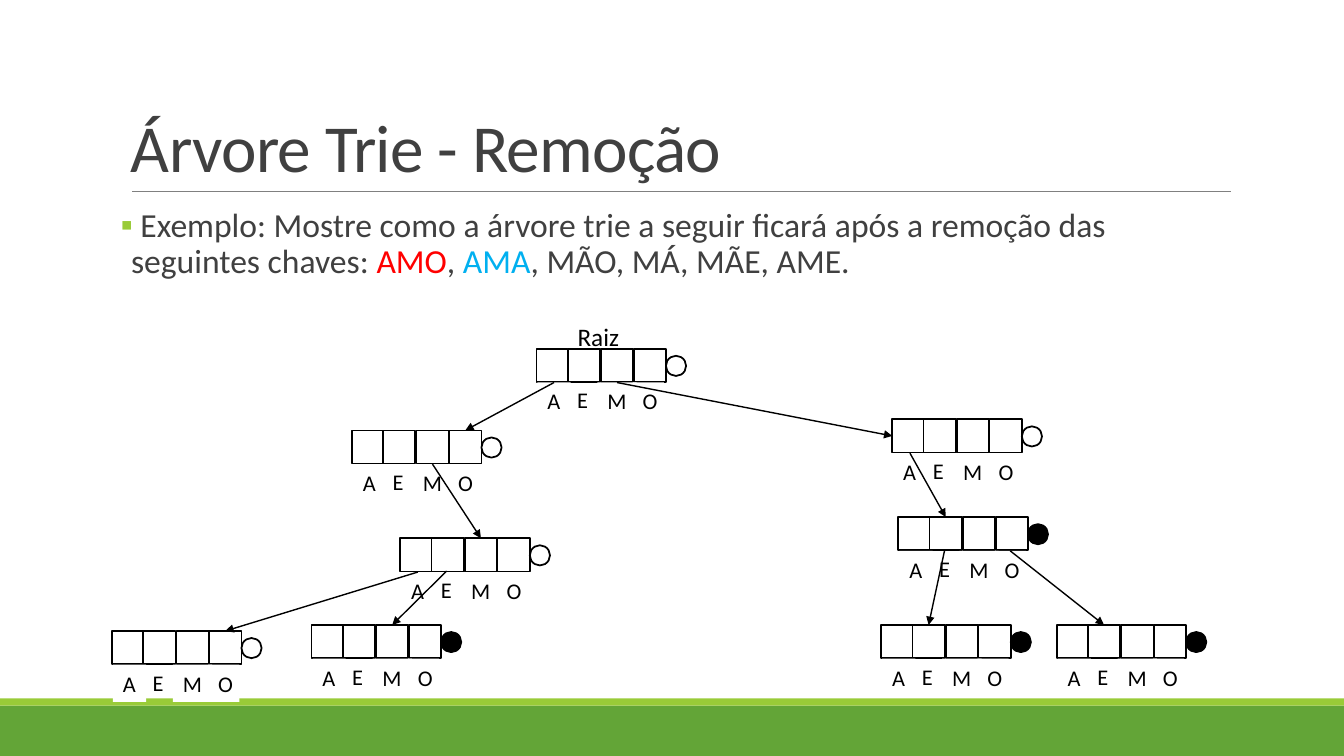
from dataclasses import dataclass
from typing import Any, Optional

import pptx
import pptx.dml.color
import pptx.enum.shapes
import pptx.enum.text
import pptx.oxml.ns
import pptx.util
from lxml import etree

COLORS = {
    "black": "000000", "white": "FFFFFF", "text": "404040", "rule": "808080",
    "band": "63A537", "accent": "99CB38", "red": "FF0000", "blue": "00B0F0",
}
FONT = "Calibri"
SLIDE_WIDTH = pptx.util.Inches(13.33)
SLIDE_HEIGHT = pptx.util.Inches(7.5)
COLUMNS, ROWS = 133.3, 75
SHAPES = pptx.enum.shapes.MSO_SHAPE
CELL_OFFSETS = (0, 3.1, 6.4, 9.65)
CELL_WIDTH, CELL_HEIGHT = 3.2, 3.3
TOP, LEFT = 0, 1


@dataclass(frozen=True)
class Label:
    letter: str
    column: float
    row: float
    width: float
    fill: Optional[str] = "white"
    wrap: bool = False


@dataclass(frozen=True)
class Node:
    name: str
    column: float
    row: float
    is_key: bool = False
    parent: str = ""
    letter: str = ""
    entry_cell: int = 0
    entry_side: int = TOP


@dataclass(frozen=True)
class Span:
    text: str
    color: str = "text"


LABELS = (
    Label("A", 0.1, 3.35, 3.3),
    Label("M", 6.05, 3.35, 3.9),
    Label("O", 9.55, 3.35, 3.1, wrap=True),
    Label("E", 3.05, 3.25, 3.1, fill=None),
)

NODES = (
    Node("root", 53.2, 34.6),
    Node("A", 34.9, 42.7, False, "root", "A", 3),
    Node("AM", 39.7, 53.4, False, "A", "M", 2),
    Node("M", 88.5, 41.6, False, "root", "M", 0, LEFT),
    Node("MA", 89.1, 51.3, True, "M", "A", 1),
    Node("MAE", 87.4, 62, True, "MA", "E", 1),
    Node("AME", 30.9, 62, True, "AM", "E", 2),
    Node("AMA", 11.1, 62.6, False, "AM", "A", 3),
    Node("MAO", 104.8, 62, True, "MA", "O", 1),
)

STATEMENT = (
    Span(" Exemplo: Mostre como a árvore trie a seguir ficará após a remoção das seguintes chaves: "),
    Span("AMO", "red"),
    Span(", "),
    Span("AMA", "blue"),
    Span(", MÃO, MÁ, MÃE, AME."),
)


def across(columns: float) -> int:
    return round(SLIDE_WIDTH * columns / COLUMNS)


def down(rows: float) -> int:
    return round(SLIDE_HEIGHT * rows / ROWS)


def frame(column: float, row: float, width: float, height: float) -> tuple[int, int, int, int]:
    return across(column), down(row), across(width), down(height)


def rgb(name: str) -> pptx.dml.color.RGBColor:
    return pptx.dml.color.RGBColor.from_string(COLORS[name])


def add_figure(shapes: Any, kind: Any, area: tuple, fill: str, line: Optional[str] = None) -> Any:
    figure = shapes.add_shape(kind, *area)
    figure.shadow.inherit = False
    figure.fill.solid()
    figure.fill.fore_color.rgb = rgb(fill)
    if line:
        figure.line.color.rgb = rgb(line)
        figure.line.width = pptx.util.Pt(1.25)
    else:
        figure.line.fill.background()
    return figure


def add_text(shapes: Any, area: tuple, spans: tuple[Span, ...], size: float, wrap: bool = True) -> Any:
    box = shapes.add_textbox(*area)
    box.text_frame.word_wrap = wrap
    para = box.text_frame.paragraphs[0]
    for span in spans:
        run = para.add_run()
        run.text = span.text
        run.font.name = FONT
        run.font.size = pptx.util.Pt(size)
        run.font.color.rgb = rgb(span.color)
    return box


def add_line(shapes: Any, start: tuple[int, int], end: tuple[int, int], color: str, width: float) -> Any:
    line = shapes.add_connector(pptx.enum.shapes.MSO_CONNECTOR.STRAIGHT, *start, *end)
    line.line.color.rgb = rgb(color)
    line.line.width = pptx.util.Pt(width)
    etree.SubElement(line._element.spPr, pptx.oxml.ns.qn("a:effectLst"))
    return line


def add_arrow(shapes: Any, source: Any, target: Any, side: int) -> None:
    arrow = add_line(shapes, (0, 0), (0, 0), "black", 1)
    arrow.begin_connect(source, TOP)
    arrow.end_connect(target, side)
    outline = arrow.line._get_or_add_ln()
    etree.SubElement(outline, pptx.oxml.ns.qn("a:tailEnd"), type="triangle")


def add_node(shapes: Any, node: Node) -> tuple[list[Any], dict[str, Any]]:
    group = shapes.add_group_shape().shapes
    cells = [
        add_figure(group, SHAPES.RECTANGLE,
                   frame(node.column + offset, node.row, CELL_WIDTH, CELL_HEIGHT), "white", "black")
        for offset in CELL_OFFSETS
    ]
    add_figure(group, SHAPES.OVAL, frame(node.column + 12.85, node.row + 0.7, 2, 2),
               "black" if node.is_key else "white", "black")
    labels = {}
    for label in LABELS:
        area = frame(node.column + label.column, node.row + label.row, label.width, 3.7)
        box = add_text(group, area, (Span(label.letter, "black"),), 16, label.wrap)
        box.text_frame.auto_size = pptx.enum.text.MSO_AUTO_SIZE.SHAPE_TO_FIT_TEXT
        if label.fill:
            box.fill.solid()
            box.fill.fore_color.rgb = rgb(label.fill)
        labels[label.letter] = box
    return cells, labels


def add_heading(shapes: Any) -> None:
    box = add_text(shapes, frame(12, 3.1, 110, 15.9), (Span("Árvore Trie - Remoção"),), 48)
    box.text_frame.vertical_anchor = pptx.enum.text.MSO_ANCHOR.BOTTOM
    para = box.text_frame.paragraphs[0]
    para.line_spacing = 0.85
    para.runs[0].font._element.set("spc", "-50")


def add_statement(shapes: Any) -> None:
    box = add_text(shapes, frame(12, 20.2, 110, 44), STATEMENT, 24)
    box.text_frame.margin_left = box.text_frame.margin_right = 0
    para = box.text_frame.paragraphs[0]
    para.line_spacing = 0.9
    para.space_before = pptx.util.Pt(12)
    para.space_after = pptx.util.Pt(2)
    properties = para._p.get_or_add_pPr()
    properties.set("marL", str(across(1)))
    properties.set("indent", str(-across(1)))
    bullet_color = etree.SubElement(properties, pptx.oxml.ns.qn("a:buClr"))
    etree.SubElement(bullet_color, pptx.oxml.ns.qn("a:srgbClr"), val=COLORS["accent"])
    etree.SubElement(properties, pptx.oxml.ns.qn("a:buFont"), typeface=FONT)
    etree.SubElement(properties, pptx.oxml.ns.qn("a:buChar"), char="▪")


def main() -> None:
    deck = pptx.Presentation()
    deck.slide_width, deck.slide_height = SLIDE_WIDTH, SLIDE_HEIGHT
    page = deck.slides.add_slide(deck.slide_layouts[6])
    shapes = page.shapes
    add_figure(shapes, SHAPES.RECTANGLE, frame(0, 70, COLUMNS, 5), "band")
    add_figure(shapes, SHAPES.RECTANGLE, frame(0, 69.3, COLUMNS, 0.7), "accent")
    add_line(shapes, (across(13.1), down(19)), (across(122.1), down(19)), "rule", 0.5)
    add_heading(shapes)
    add_statement(shapes)
    caption = add_text(shapes, frame(56.3, 31.4, 6.2, 4), (Span("Raiz", "black"),), 18, False)
    caption.text_frame.auto_size = pptx.enum.text.MSO_AUTO_SIZE.SHAPE_TO_FIT_TEXT
    labels_by_node = {}
    for node in NODES:
        cells, labels_by_node[node.name] = add_node(shapes, node)
        if node.parent:
            source = labels_by_node[node.parent][node.letter]
            add_arrow(shapes, source, cells[node.entry_cell], node.entry_side)
    deck.save("out.pptx")


if __name__ == "__main__":
    main()
